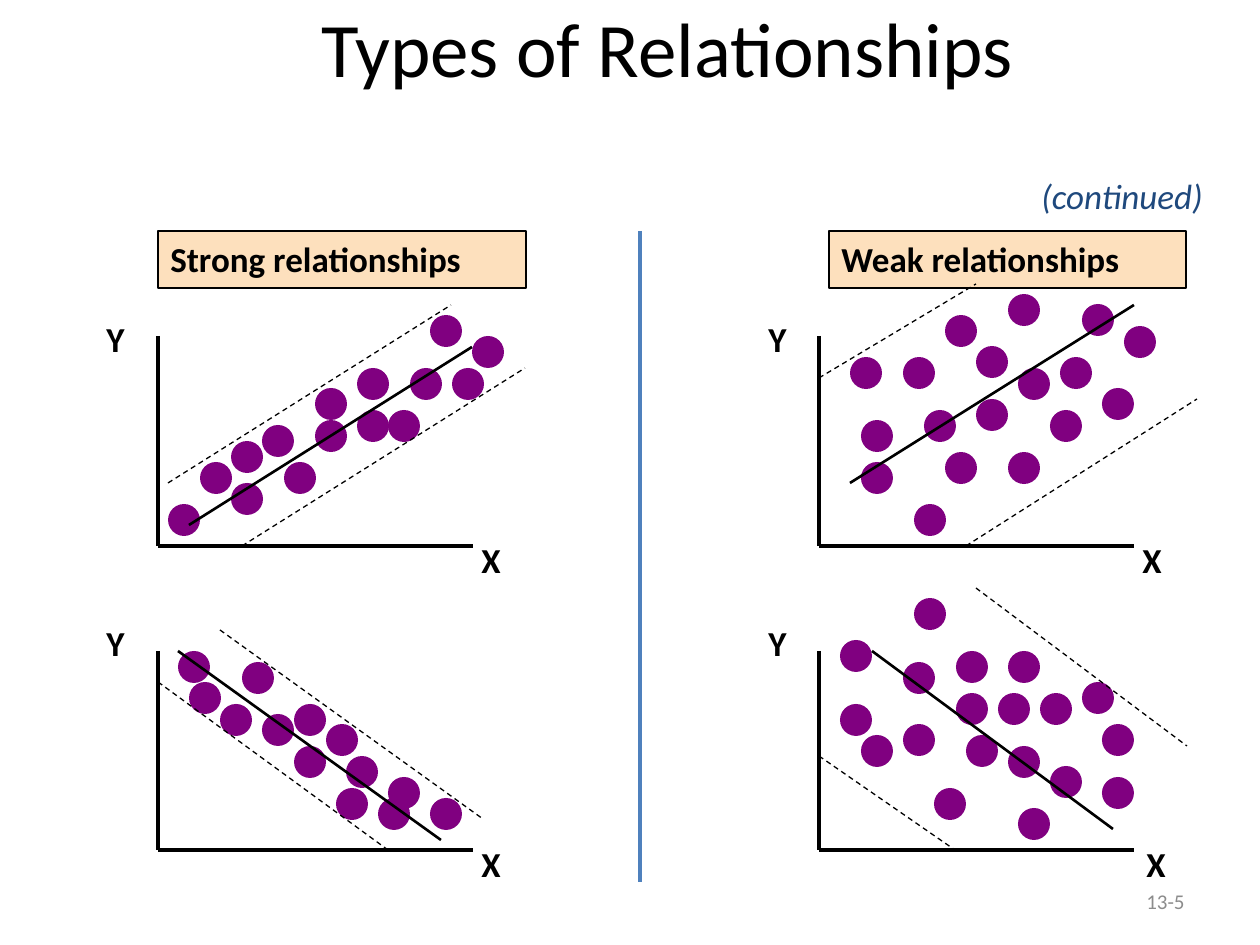
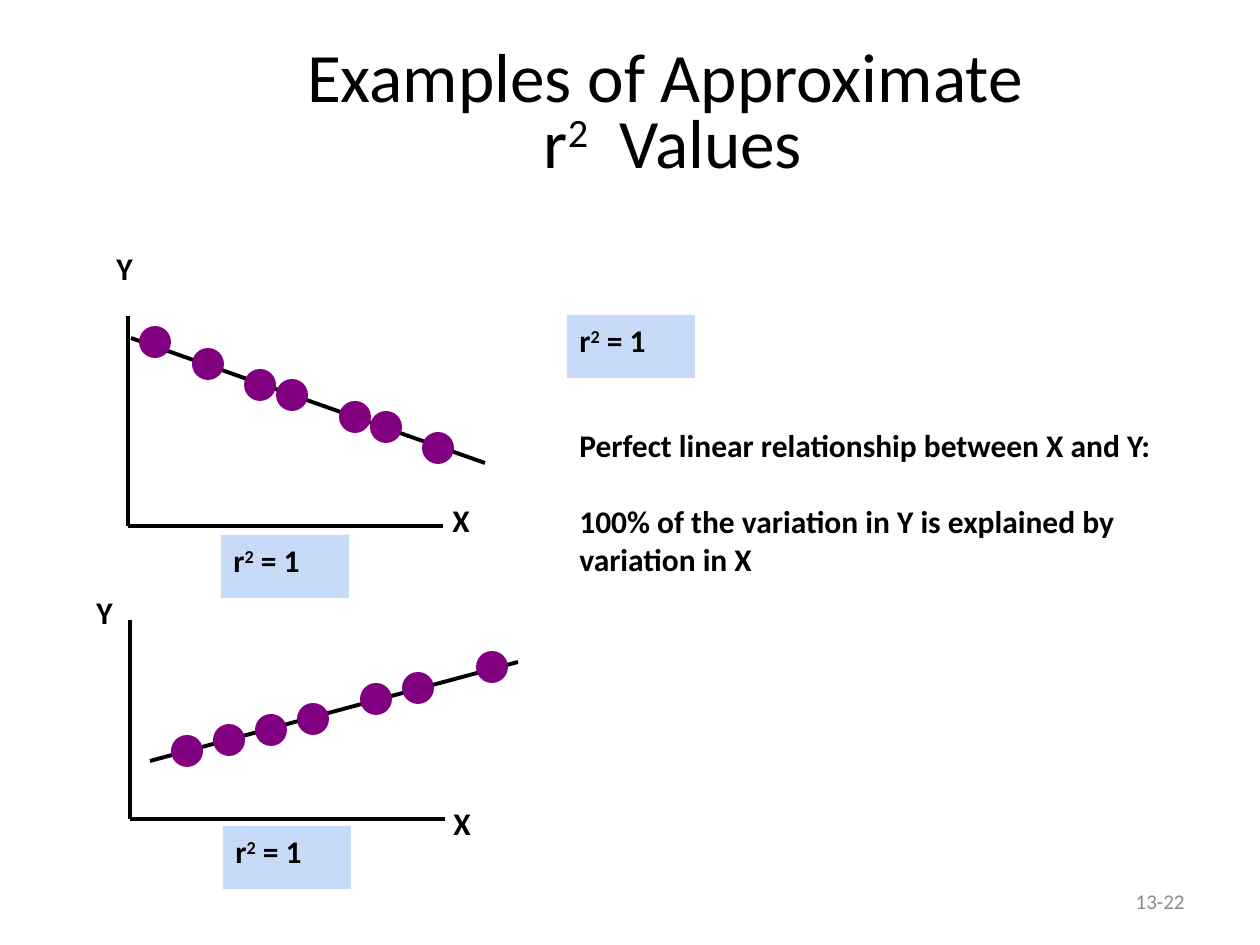
from dataclasses import dataclass
from typing import Optional

from lxml import etree
from pptx import Presentation
from pptx.dml.color import RGBColor
from pptx.enum import dml, shapes, text
from pptx.oxml import ns
from pptx.util import Emu, Pt

SCALE = 914400 // 126
FONT = "Calibri"
BLACK = RGBColor(0, 0, 0)
GRAY = RGBColor(0x8C, 0x8C, 0x8C)
PLUM = RGBColor(0x80, 0, 0x80)
PEACH = RGBColor(0xFD, 0xE0, 0xBD)
SKY = RGBColor(0xC7, 0xDA, 0xF7)
BLUE = RGBColor(0x4F, 0x81, 0xBD)
NAVY = RGBColor(0x1F, 0x49, 0x7D)
DOT = 32
AXIS = 315

Point = tuple[int, int]
Segment = tuple[int, int, int, int]
Box = tuple[int, int, int, int]


@dataclass(frozen=True)
class Style:
    size: float
    color: RGBColor = BLACK
    bold: bool = False
    slant: bool = False
    align: text.PP_ALIGN = text.PP_ALIGN.LEFT
    anchor: text.MSO_ANCHOR = text.MSO_ANCHOR.TOP
    spacing: float = 1.0
    before: float = 0


@dataclass(frozen=True)
class Plot:
    left: int
    top: int
    base: int
    ylab: Point
    xlab: Point
    trend: Segment
    dots: list[Point]
    bands: tuple[Segment, ...] = ()


@dataclass(frozen=True)
class Look:
    label: Style
    weight: float
    below: bool


MID = text.MSO_ANCHOR.MIDDLE
TITLE = Style(44, align=text.PP_ALIGN.CENTER, anchor=MID)
LONG = Style(39.6, align=text.PP_ALIGN.CENTER, anchor=MID, spacing=0.8)
FOOT = Style(12, GRAY, align=text.PP_ALIGN.RIGHT, anchor=MID)
HEAD = Style(20, bold=True)
BODY = Style(18, bold=True, before=22)
MORE = Style(20, NAVY, slant=True)
LOOSE = Look(HEAD, 1.5, False)
EXACT = Look(BODY, 2.25, True)

TYPES = [
    Plot(158, 336, 546, (94, 311), (469, 532), (189, 525, 472, 347),
         [(168, 504), (200, 462), (430, 315), (452, 368), (231, 483),
          (472, 336), (357, 410), (357, 368), (410, 368), (315, 388),
          (231, 441), (262, 425), (388, 410), (315, 420), (284, 462)],
         ((168, 483, 451, 305), (242, 546, 525, 368))),
    Plot(158, 651, 850, (94, 615), (469, 836), (178, 651, 441, 840),
         [(378, 798), (189, 682), (430, 798), (242, 662), (346, 756),
          (388, 777), (294, 704), (178, 651), (220, 704), (262, 714),
          (336, 788), (326, 724), (294, 746)],
         ((220, 630, 483, 819), (158, 682, 388, 850))),
    Plot(819, 336, 546, (756, 311), (1130, 532), (850, 483, 1134, 305),
         [(976, 346), (861, 462), (1008, 452), (1060, 357), (903, 357),
          (914, 504), (945, 452), (1018, 368), (945, 315), (861, 420),
          (850, 357), (924, 410), (1050, 410), (976, 399), (1008, 294),
          (1124, 326), (1102, 388), (1082, 304)],
         ((819, 378, 976, 284), (966, 546, 1197, 399))),
    Plot(819, 651, 850, (756, 615), (1134, 836), (872, 651, 1113, 829),
         [(840, 704), (840, 640), (903, 724), (1018, 808), (861, 735),
          (956, 651), (1008, 746), (998, 693), (956, 693), (903, 662),
          (1040, 693), (966, 735), (934, 788), (1050, 766), (1102, 724),
          (1082, 682), (1102, 777), (1008, 651), (914, 598)],
         ((976, 588, 1187, 746), (819, 756, 955, 850))),
]

VALUES = [
    Plot(128, 316, 526, (104, 243), (440, 495), (485, 463, 131, 338),
         [(422, 432), (339, 401), (276, 379), (139, 326), (192, 348),
          (244, 369), (370, 411)]),
    Plot(130, 620, 819, (84, 587), (441, 798), (150, 761, 518, 662),
         [(171, 735), (213, 724), (255, 714), (297, 703), (360, 683),
          (402, 672), (476, 651)]),
]


def px(n: float) -> Emu:
    return Emu(int(n * SCALE))


def run(para, words: str, style: Style, raised: bool = False) -> None:
    part = para.add_run()
    part.text = words
    font = part.font
    font.name = FONT
    font.size = Pt(style.size)
    font.bold = style.bold
    font.italic = style.slant
    font.color.rgb = style.color
    if raised:
        part._r.get_or_add_rPr().set("baseline", "30000")


def setup(shape, style: Style):
    frame = shape.text_frame
    frame.word_wrap = True
    frame.vertical_anchor = style.anchor
    para = frame.paragraphs[0]
    para.alignment = style.align
    para.line_spacing = style.spacing
    return para


def label(slide, box: Box, words: str, style: Style):
    shape = slide.shapes.add_textbox(*map(px, box))
    run(setup(shape, style), words, style)
    return shape


def block(slide, box: Box, fill: RGBColor, edge: Optional[RGBColor] = None,
          kind: shapes.MSO_SHAPE = shapes.MSO_SHAPE.RECTANGLE):
    shape = slide.shapes.add_shape(kind, *map(px, box))
    shape.shadow.inherit = False
    shape.fill.solid()
    shape.fill.fore_color.rgb = fill
    if edge is None:
        shape.line.fill.background()
    else:
        shape.line.color.rgb = edge
        shape.line.width = Pt(1)
    return shape


def line(slide, ends: Segment, width: float, color: RGBColor = BLACK,
         dashed: bool = False) -> None:
    link = slide.shapes.add_connector(shapes.MSO_CONNECTOR.STRAIGHT, *map(px, ends))
    link.line.color.rgb = color
    link.line.width = Pt(width)
    if dashed:
        link.line.dash_style = dml.MSO_LINE.DASH
    etree.SubElement(link._element.spPr, ns.qn("a:effectLst"))


def draw(slide, plot: Plot, look: Look) -> None:
    line(slide, (plot.left, plot.top, plot.left, plot.base), 2)
    line(slide, (plot.left, plot.base, plot.left + AXIS, plot.base), 2)
    label(slide, (*plot.ylab, 52, 56), "Y", look.label)
    label(slide, (*plot.xlab, 52, 56), "X", look.label)
    if look.below:
        line(slide, plot.trend, look.weight)
    for x, y in plot.dots:
        block(slide, (x, y, DOT, DOT), PLUM, kind=shapes.MSO_SHAPE.OVAL)
    for band in plot.bands:
        line(slide, band, 0.75, dashed=True)
    if not look.below:
        line(slide, plot.trend, look.weight)


def head(slide, x: int, width: int, words: str) -> None:
    shape = block(slide, (x, 231, width, 57), PEACH, BLACK)
    run(setup(shape, HEAD), words, HEAD)


def square(para, style: Style, tail: str) -> None:
    run(para, "r", style)
    run(para, "2", style, raised=True)
    run(para, tail, style)


def score(slide, x: int, y: int) -> None:
    square(setup(block(slide, (x, y, 128, 63), SKY), BODY), BODY, " = 1")


def foot(slide, number: str) -> None:
    label(slide, (903, 876, 294, 50), number, FOOT)


def types(slide) -> None:
    label(slide, (159, -21, 1017, 136), "Types of Relationships", TITLE)
    foot(slide, "13-5")
    head(slide, 158, 368, "Strong relationships")
    head(slide, 829, 357, "Weak relationships")
    line(slide, (640, 231, 640, 882), 2.25, BLUE)
    label(slide, (1029, 168, 203, 54), "(continued)", MORE)
    for plot in TYPES:
        draw(slide, plot, LOOSE)


def values(slide) -> None:
    name = label(slide, (136, 42, 1074, 147), "Examples of Approximate ", LONG)
    para = name.text_frame.paragraphs[0]
    para.add_line_break()
    square(para, LONG, "  Values")
    foot(slide, "13-22")
    for plot in VALUES:
        draw(slide, plot, EXACT)
    for spot in ((221, 535), (223, 826), (567, 315)):
        score(slide, *spot)
    note = label(slide, (567, 420, 609, 265),
                 "Perfect linear relationship between X and Y:", BODY)
    para = note.text_frame.add_paragraph()
    para.space_before = Pt(BODY.before)
    run(para, "100% of the variation in Y is explained by variation in X", BODY)


def main() -> None:
    deck = Presentation()
    deck.slide_width = px(1260)
    deck.slide_height = px(945)
    for fill in (types, values):
        fill(deck.slides.add_slide(deck.slide_layouts[6]))
    deck.save("out.pptx")


main()
